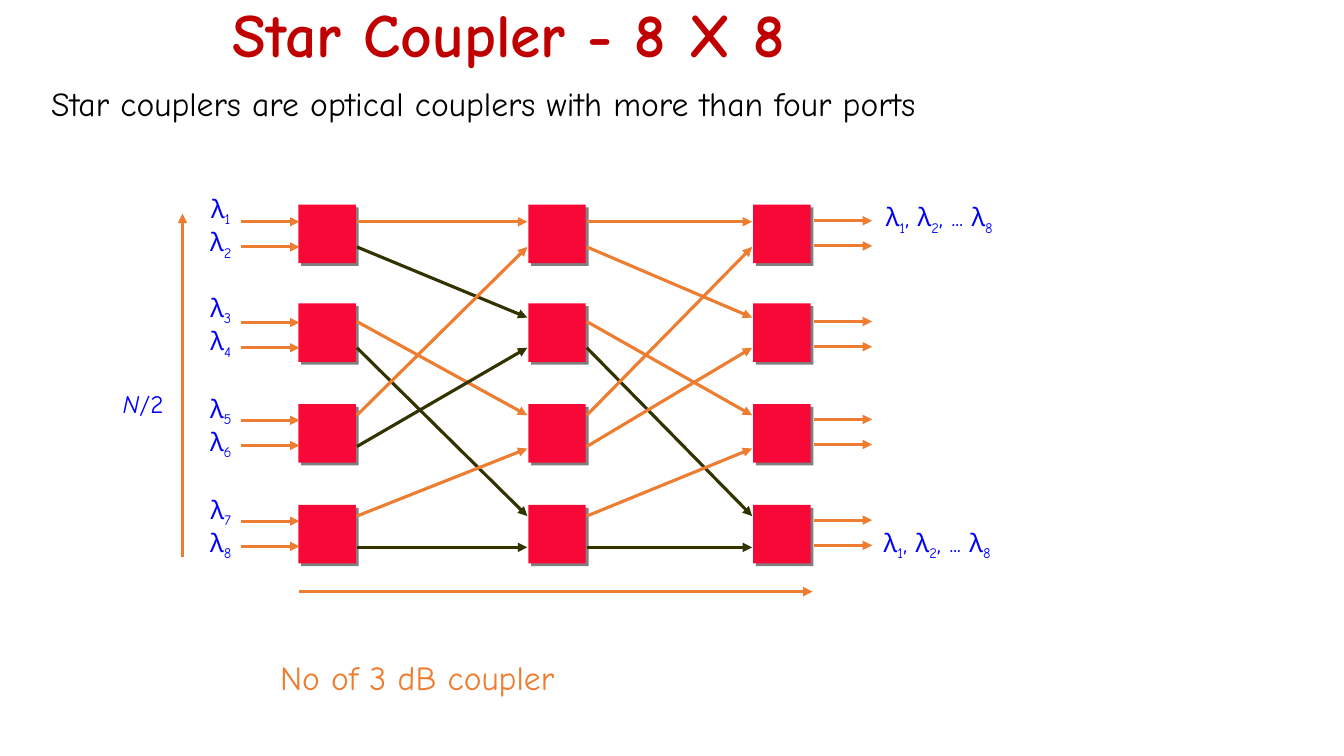
from lxml.etree import SubElement
from pptx import Presentation
from pptx.dml.color import RGBColor
from pptx.enum.shapes import MSO_CONNECTOR as Connector, MSO_SHAPE as Shape
from pptx.enum.text import MSO_ANCHOR as Anchor, MSO_AUTO_SIZE as AutoSize, PP_ALIGN as Align
from pptx.oxml.ns import qn
from pptx.util import Inches, Pt

FONT = "Comic Neue"
TITLE_RED, COUPLER_RED, SHADOW = "C00000", "F80836", "808080"
ORANGE, DARK, BLUE, BLACK = "ED7D31", "333300", "0000FF", "000000"

COUPLER_WIDTH, COUPLER_HEIGHT = 0.57, 0.58
STAGES = [0, 2.28, 4.51]
ROWS = [0, 0.98, 1.98, 2.98]
PORT_OFFSETS = [0.17, 0.19, 0.16, 0.16]
LINK_STARTS = [0.17, 0.42, 1.16, 1.42, 2.09, 2.4, 3.09, 3.4]
LINK_ENDS = [0.17, 0.42, 1.12, 1.42, 2.09, 2.42, 3.09, 3.4]
SHUFFLE = [0, 2, 4, 6, 1, 3, 5, 7]
DARK_LINKS = [{1, 3, 5, 7}, {3, 7}]
LAST_OUTPUTS = [("λ", 0), ("1", 1), (", λ", 0), ("2", 1), (", ... λ", 0), ("8", 1)]


def color(value):
    """Turn a hex string into a colour."""
    return RGBColor.from_string(value)


def add_text(page, box, parts, size, tint, align=Align.LEFT):
    """Add one line of text made of (text, is_subscript) parts."""
    shape = page.shapes.add_textbox(*map(Inches, box))
    frame = shape.text_frame
    frame.word_wrap = False
    frame.auto_size = AutoSize.SHAPE_TO_FIT_TEXT
    frame.vertical_anchor = Anchor.MIDDLE
    para = frame.paragraphs[0]
    para.alignment = align
    for text, subscript in parts:
        span = para.add_run()
        span.text = text
        span.font.name = FONT
        span.font.size = Pt(size)
        span.font.color.rgb = color(tint)
        if subscript:
            span.font._element.set("baseline", "-25000")
    return para


def add_arrow(page, start, end, tint=ORANGE):
    """Add a straight arrow between two points."""
    arrow = page.shapes.add_connector(Connector.STRAIGHT, *map(Inches, (*start, *end)))
    arrow.line.color.rgb = color(tint)
    arrow.line.width = Pt(2.25)
    SubElement(arrow.line._get_or_add_ln(), qn("a:tailEnd"), type="triangle")
    SubElement(arrow._element.spPr, qn("a:effectLst"))


def add_coupler(page, left, top):
    """Add one red coupler with a hard grey shadow."""
    box = page.shapes.add_shape(
        Shape.RECTANGLE, *map(Inches, (left, top, COUPLER_WIDTH, COUPLER_HEIGHT)))
    box.fill.solid()
    box.fill.fore_color.rgb = color(COUPLER_RED)
    box.line.fill.background()
    box.shadow.inherit = False
    effects = box._element.spPr.find(qn("a:effectLst"))
    shadow = SubElement(effects, qn("a:outerShdw"), dist=str(Pt(2.8)), dir="2700000",
                        algn="ctr", rotWithShape="0")
    SubElement(shadow, qn("a:srgbClr"), val=SHADOW)


def add_heading(page, left, top):
    """Set the title and the sentence below it."""
    title = page.shapes.title
    title.left, title.top, title.width, title.height = map(
        Inches, (left + 1.8, top, 9.25, 0.63))
    title.text_frame.text = "Star Coupler - 8 X 8"
    title.text_frame.vertical_anchor = Anchor.MIDDLE
    para = title.text_frame.paragraphs[0]
    para.alignment = Align.LEFT
    para.line_spacing = 0.9
    font = para.runs[0].font
    font.name, font.size, font.bold = FONT, Pt(44), True
    font.color.rgb = color(TITLE_RED)
    sentence = "Star couplers are optical couplers with more than four ports"
    add_text(page, (left, top + 0.71, 9.69, 0.5), [(sentence, False)], 24, BLACK)


def add_network(page, left, top):
    """Draw the three coupler stages and the shuffle links between them."""
    for stage in STAGES:
        for row in ROWS:
            add_coupler(page, left + stage, top + row)
    for stage, following, dark in zip(STAGES, STAGES[1:], DARK_LINKS):
        for port, target in enumerate(SHUFFLE):
            add_arrow(page,
                      (left + stage + COUPLER_WIDTH + 0.01, top + LINK_STARTS[port]),
                      (left + following - 0.01, top + LINK_ENDS[target]),
                      DARK if port in dark else ORANGE)


def add_ports(page, left, top):
    """Draw the input and output arrows with their wavelength labels."""
    for index, (row, offset) in enumerate(zip(ROWS, PORT_OFFSETS)):
        for port in range(2):
            height = top + row + offset + 0.25 * port
            add_arrow(page, (left - 0.57, height), (left + 0.01, height))
            add_arrow(page, (left + 5.11, height - 0.01), (left + 5.69, height - 0.01))
            label = [("λ", False), (str(2 * index + port + 1), True)]
            box = (left - 0.99, top + row - 0.14 + 0.33 * port, 0.44, 0.4)
            add_text(page, box, label, 18, BLUE, Align.CENTER)
    for shift, height in ((5.63, -0.06), (5.61, 3.17)):
        add_text(page, (left + shift, top + height, 1.45, 0.4), LAST_OUTPUTS, 18, BLUE,
                 Align.CENTER)


def add_axes(page, left, top):
    """Draw the two dimension arrows and their captions."""
    add_arrow(page, (left - 1.15, top + 3.5), (left - 1.15, top + 0.09))
    add_arrow(page, (left + 0.01, top + 3.84), (left + 5.1, top + 3.84))
    ratio = add_text(page, (left - 1.92, top + 1.77, 0.76, 0.4),
                     [("N", False), ("/2", False)], 18, BLUE, Align.CENTER)
    ratio.runs[0].font.italic = True
    add_text(page, (left - 0.28, top + 4.43, 3.26, 0.51),
             [("No of 3 dB coupler", False)], 24, ORANGE)


def main():
    """Build the slide and save the deck."""
    deck = Presentation()
    deck.slide_width, deck.slide_height = Inches(13.33), Inches(7.5)
    page = deck.slides.add_slide(deck.slide_layouts[5])
    add_heading(page, 0.41, 0.06)
    for add_region in (add_network, add_ports, add_axes):
        add_region(page, 2.96, 2.03)
    deck.save("out.pptx")


if __name__ == "__main__":
    main()
